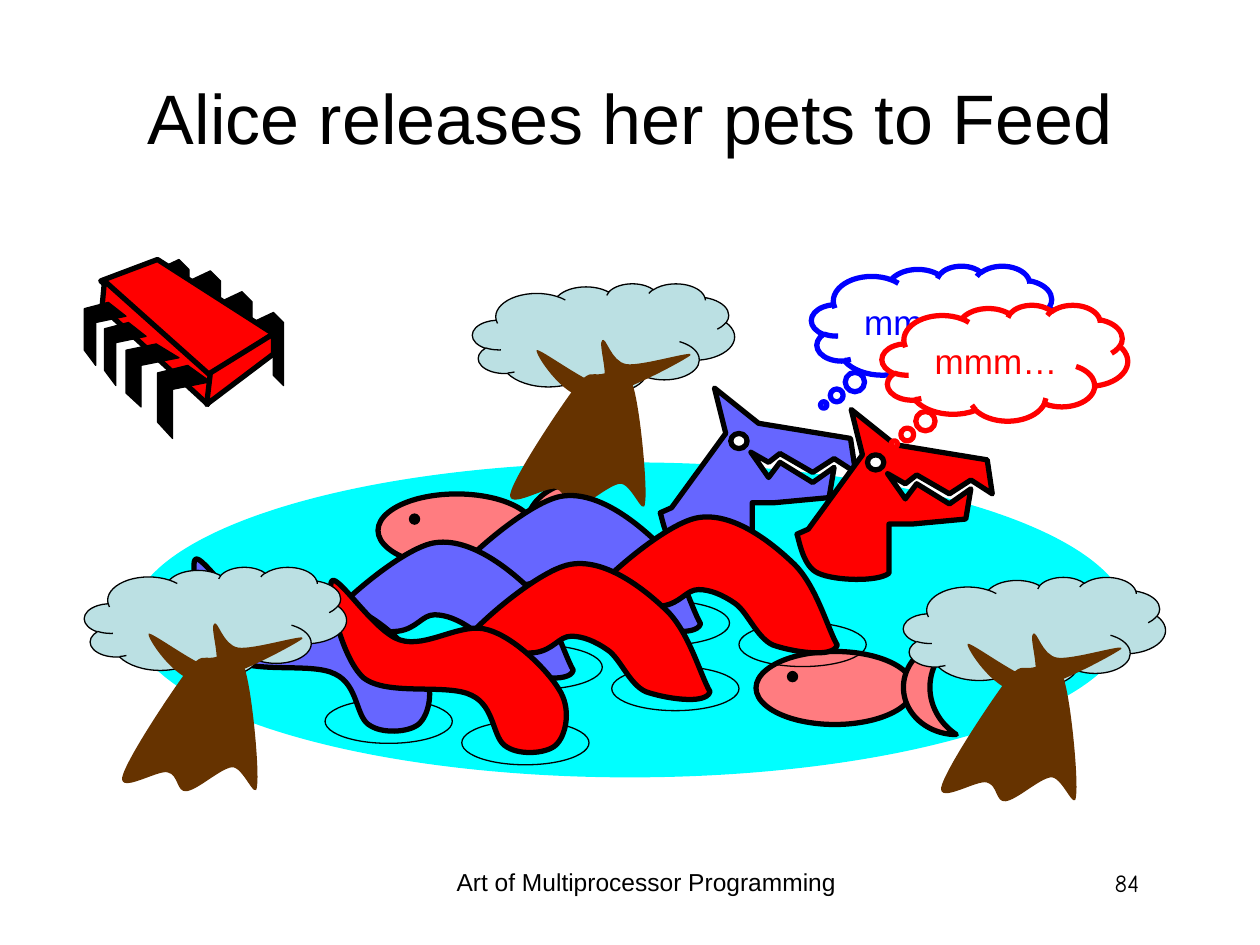
from pptx import Presentation
from pptx.util import Inches, Pt
from pptx.dml.color import RGBColor
from pptx.enum.shapes import MSO_SHAPE as Kind
from pptx.enum.text import MSO_ANCHOR as Anchor, PP_ALIGN as Align
from pptx.oxml.ns import qn

BLACK = RGBColor(0, 0, 0)
WHITE = RGBColor(255, 255, 255)
RED = RGBColor(255, 0, 0)
BLUE = RGBColor(0, 0, 255)
VIOLET = RGBColor(0x66, 0x66, 0xFF)
WATER = RGBColor(0, 255, 255)
PINK = RGBColor(0xFF, 0x7C, 0x80)
LEAF = RGBColor(0xBB, 0xE0, 0xE3)
BARK = RGBColor(0x66, 0x33, 0x00)

deck = Presentation()
deck.slide_width, deck.slide_height = Inches(10), Inches(7.5)
slide = deck.slides.add_slide(deck.slide_layouts[6])
shapes = slide.shapes
UNIT = deck.slide_width // 1000  # the slide is a grid of 1000 columns and 750 rows


def draw(kind, spots, dx, dy, fill, weight, line=BLACK):
    """Draw a preset in the box spots, or, if kind is None, an outline.

    An outline starts at its first spot; pairs are corners, sixes Bezier curves.
    """
    if kind is None:
        dots = [((x + dx) * UNIT, (y + dy) * UNIT)
                for spot in spots for x, y in zip(spot[::2], spot[1::2])]
        path = shapes.build_freeform(*dots[0], scale=1.0)
        path.add_line_segments(dots[1:], close=True)
        shape = path.convert_to_shape()
        # Turn each run of three segments that stands for a curve into one
        lines = iter(list(shape._element.iter(qn("a:lnTo"))))
        for spot in spots[1:]:
            first = next(lines)
            if len(spot) == 6:
                curve = first.makeelement(qn("a:cubicBezTo"))
                first.addprevious(curve)
                for part in (first, next(lines), next(lines)):
                    curve.append(part[0])
                    part.getparent().remove(part)
    else:
        x, y, w, h = spots
        shape = shapes.add_shape(kind, int((x + dx) * UNIT), int((y + dy) * UNIT),
                                 w * UNIT, h * UNIT)
    shape.shadow.inherit = False
    if fill is None:
        shape.fill.background()
    else:
        shape.fill.solid()
        shape.fill.fore_color.rgb = fill
    if weight:
        shape.line.color.rgb = line
        shape.line.width = Pt(weight)
    else:
        shape.line.fill.background()
    return shape


def write(frame, text, size, font, colour, align):
    frame.word_wrap = True
    frame.text = text
    para = frame.paragraphs[0]
    para.alignment = align
    run = para.runs[0].font
    run.size, run.name, run.color.rgb = Pt(size), font, colour


# Each part is (kind, spots, fill, line weight)
pond = [(Kind.OVAL, (104, 367, 792, 250), WATER, 0)]
fish = [
    (Kind.OVAL, (0, 9, 125, 58), PINK, 3),
    (Kind.MOON, (117, 0, 42, 75), PINK, 3),
    (Kind.OVAL, (25, 25, 8, 8), BLACK, 0.75),
]

# Chip
back = [(None, [(0, 8), (17, 0), (25, 8), (25, 58), (17, 50), (17, 17), (0, 25)],
         BLACK, 0.75)]
body = [(None, spots, RED, 3) for spots in (
    [(125, 206), (217, 265), (165, 299), (80, 223)],
    [(83, 223), (167, 298), (165, 321), (81, 244)],
    [(217, 265), (217, 281), (164, 321), (167, 296)],
)]
front = [(None, spots, BLACK, 0.75) for spots in (
    [(149, 290), (167, 303), (137, 309), (137, 348), (125, 335), (125, 296)],
    [(124, 273), (142, 284), (112, 290), (112, 323), (100, 312), (100, 278)],
)]
small = [(None, [(19, 0), (33, 11), (9, 16), (9, 50), (0, 38), (0, 5)], BLACK, 0.75)]

# Tree
tree = [
    (Kind.CLOUD_CALLOUT, (0, 0, 208, 87), LEAF, 0.75),
    (None, [(81, 83), (93, 68, 94, 73, 102, 72), (109, 71, 121, 63, 127, 80),
            (133, 97, 139, 161, 137, 174), (136, 187, 126, 158, 117, 159),
            (108, 160, 90, 177, 81, 178), (73, 179, 75, 165, 66, 163),
            (58, 161, 28, 180, 30, 167), (33, 153, 69, 99, 81, 83)], BARK, 0),
    (None, [(51, 53), (49, 55, 71, 90, 91, 91), (112, 92, 168, 61, 173, 57),
            (178, 52, 134, 66, 122, 64), (110, 62, 106, 42, 103, 45),
            (99, 47, 110, 78, 102, 80), (93, 81, 53, 51, 51, 53)], BARK, 0),
]

# Serpent, where "skin" stands for its own colour
ripples = [(Kind.OVAL, (x, y, 101, 35), None, 0.75)
           for x, y in ((377, 512), (258, 555), (478, 477))]
hump = [(None, [
    (556, 495), (553, 506, 519, 500, 505, 495), (492, 489, 485, 469, 475, 462),
    (465, 455, 455, 451, 446, 451), (436, 451, 432, 462, 417, 464),
    (402, 465, 353, 472, 358, 460), (362, 449, 418, 399, 445, 394),
    (472, 389, 502, 412, 520, 429), (539, 446, 548, 481, 556, 495)], "skin", 3)]
head = [
    (None, [
        (533, 403), (576, 344), (567, 308), (602, 336), (675, 348), (679, 375),
        (662, 364), (645, 375), (619, 360), (610, 367), (596, 359), (610, 379),
        (619, 367), (645, 383), (662, 371), (658, 395), (615, 399), (597, 399),
        (597, 438), (588, 445, 554, 444, 541, 438), (529, 433, 526, 413, 524, 407)],
     "skin", 3),
    (Kind.OVAL, (580, 344, 13, 12), WHITE, 3),
]
tail = [(None, [
    (155, 444), (160, 439, 189, 485, 209, 491), (230, 498, 258, 476, 279, 483),
    (300, 489, 326, 515, 335, 530), (345, 545, 341, 565, 334, 573),
    (328, 581, 305, 583, 294, 576), (282, 570, 285, 544, 266, 535),
    (247, 525, 199, 536, 180, 521), (162, 505, 150, 449, 155, 444)], "skin", 3)]

# Back to front: parts, their shift and the skin colour
scene = [(pond, 0, 0, None), (fish, 300, 383, None), (fish, 600, 508, None)]
scene += [(back, 200 - 25 * n, 248 - 16.5 * n, None) for n in range(3)]
scene += [(back, 125, 206, None), (body, 0, 0, None), (front, 0, 0, None),
          (small, 83, 256, None), (small, 67, 240, None),
          (tree, 375, 225, None), (tree, 717, 458, None)]
for dx, dy, skin in ((0, 0, VIOLET), (108.5, 17, RED)):
    scene += [(ripples, dx, dy, skin), (hump, dx, dy, skin),
              (hump, dx - 101, dy + 37, skin), (head, dx, dy, skin),
              (tail, dx, dy, skin)]
scene += [(tree, 67, 450, None)]

for parts, dx, dy, skin in scene:
    for kind, spots, fill, weight in parts:
        shape = draw(kind, spots, dx, dy, skin if fill == "skin" else fill, weight)
        if kind == Kind.CLOUD_CALLOUT:
            shape.adjustments[0], shape.adjustments[1] = 0.02, 0.49

# Thoughts
for x, y, tone in ((644, 211, BLUE), (700, 242, RED)):
    cloud = draw(Kind.CLOUD_CALLOUT, (x, y, 195, 92), 0, 0, WHITE, 3, tone)
    cloud.adjustments[0], cloud.adjustments[1] = -0.45, 0.7
    cloud.text_frame.vertical_anchor = Anchor.MIDDLE
    write(cloud.text_frame, "mmm…", 20, "Arial", tone, Align.CENTER)

# Title and footer
for text, x, y, w, h, size, font, align, anchor in (
    ("Alice releases her pets to Feed", 50, 30, 900, 125, 40, "Arial",
     Align.CENTER, Anchor.MIDDLE),
    ("Art of Multiprocessor Programming", 342, 683, 342, 52, 14, "Arial",
     Align.CENTER, Anchor.TOP),
    ("84", 706, 684, 208, 50, 14, "Comic Neue", Align.RIGHT, Anchor.TOP),
):
    box = shapes.add_textbox(x * UNIT, y * UNIT, w * UNIT, h * UNIT)
    box.text_frame.vertical_anchor = anchor
    write(box.text_frame, text, size, font, BLACK, align)

deck.save("out.pptx")
